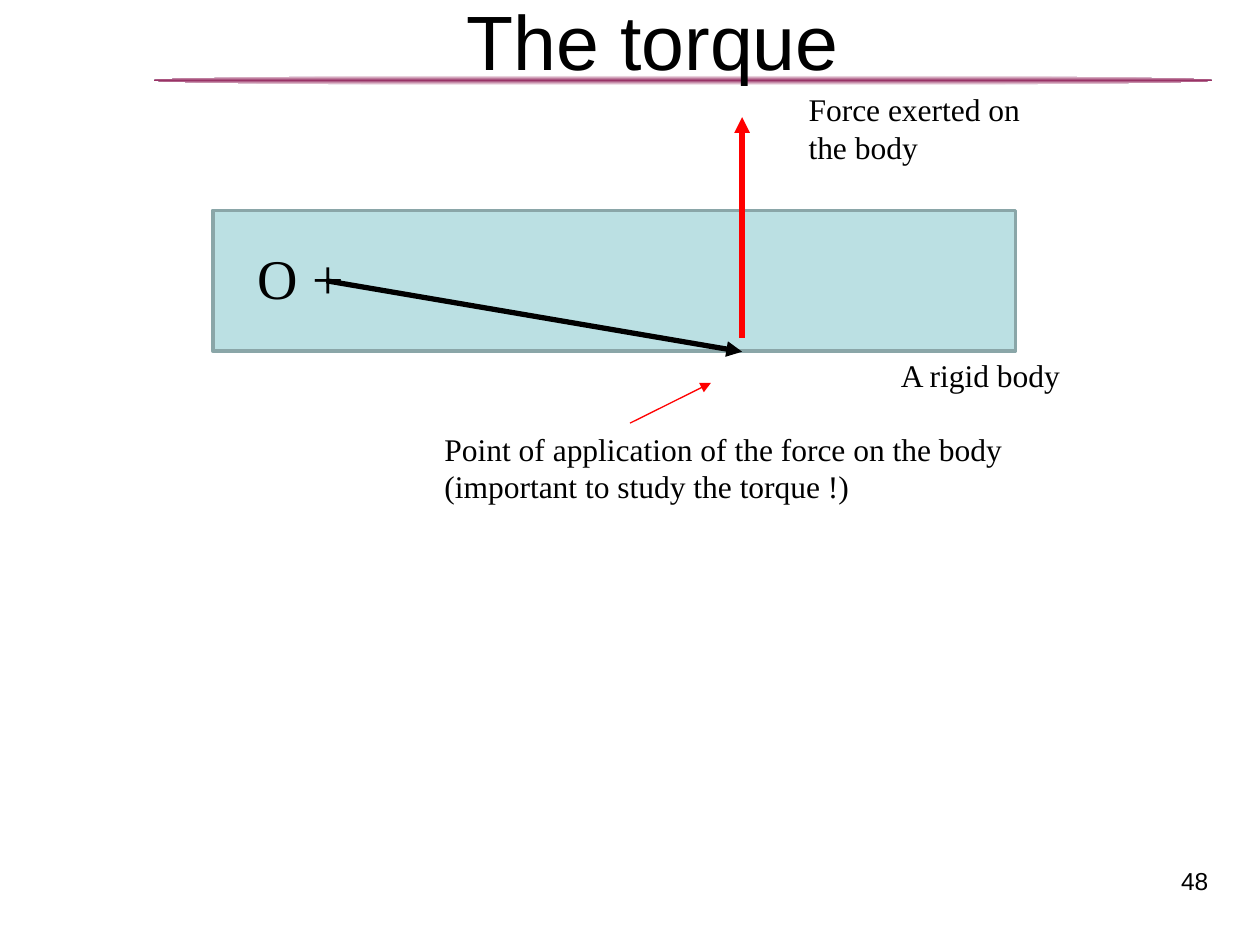
from copy import deepcopy
from dataclasses import dataclass

from lxml.etree import SubElement as Sub
from pptx import Presentation
from pptx.dml.color import RGBColor as Rgb
from pptx.enum.shapes import MSO_CONNECTOR as Conn, MSO_SHAPE as Form
from pptx.enum.text import MSO_ANCHOR as Anchor, MSO_AUTO_SIZE as Fit, PP_ALIGN as Align
from pptx.oxml.ns import qn
from pptx.util import Cm, Pt

HUES = {"white": "FFFFFF", "black": "000000", "red": "FF0000",
        "plum": "993366", "body": "BBE0E3", "edge": "8AA6A8"}
SERIF, SANS = "Times New Roman", "Arial"


@dataclass
class Box:
    """Place and size in centimetres."""
    left: float
    top: float
    width: float
    height: float

    def lengths(self) -> list[Cm]:
        """Give the four lengths for python-pptx."""
        return [Cm(n) for n in (self.left, self.top, self.width, self.height)]


@dataclass
class Arrow:
    """Straight arrow from start to end, in centimetres."""
    start: tuple[float, float]
    end: tuple[float, float]
    hue: str
    weight: float


@dataclass
class Label:
    """Serif label beside a part of the drawing."""
    text: str
    box: Box
    size: int = 18
    wrap: bool = True


def hue(name: str) -> Rgb:
    """Look up a colour."""
    return Rgb.from_string(HUES[name])


def add_text(slide, text: str, box: Box, *, size: int = 18, font: str = SERIF,
             align=Align.LEFT, wrap: bool = True, fit=Fit.NONE, inset: float = 0.13) -> None:
    """Add a black text box."""
    frame = slide.shapes.add_textbox(*box.lengths()).text_frame
    frame.word_wrap = wrap
    frame.auto_size = fit
    frame.vertical_anchor = Anchor.TOP
    frame.margin_top = Cm(inset)
    para = frame.paragraphs[0]
    para.alignment = align
    run = para.add_run()
    run.text = text
    run.font.name = font
    run.font.size = Pt(size)
    run.font.color.rgb = hue("black")


def add_rule(slide, box: Box) -> None:
    """Add the tapered rule under the title."""
    rule = slide.shapes.add_shape(Form.OVAL, *box.lengths())
    rule.shadow.inherit = False
    rule.line.fill.background()
    rule.fill.gradient()
    rule.fill.gradient_angle = 90
    first = next(rule.element.iter(qn("a:gs")))
    first.addnext(deepcopy(first))
    for stop, name, spot in zip(rule.fill.gradient_stops,
                                ("white", "plum", "white"), (0, 0.5, 1)):
        stop.color.rgb = hue(name)
        stop.position = spot


def add_body(slide, box: Box) -> None:
    """Add the rigid body."""
    body = slide.shapes.add_shape(Form.RECTANGLE, *box.lengths())
    body.shadow.inherit = False
    body.fill.solid()
    body.fill.fore_color.rgb = hue("body")
    body.line.color.rgb = hue("edge")
    body.line.width = Pt(2)


def add_arrow(slide, arrow: Arrow) -> None:
    """Add an arrow with a triangular head at its end."""
    ends = [Cm(n) for n in (*arrow.start, *arrow.end)]
    link = slide.shapes.add_connector(Conn.STRAIGHT, *ends)
    link.line.color.rgb = hue(arrow.hue)
    link.line.width = Pt(arrow.weight)
    Sub(link.line._get_or_add_ln(), qn("a:tailEnd"), type="triangle")
    Sub(link.element.spPr, qn("a:effectLst"))


def main() -> None:
    """Build the torque slide."""
    deck = Presentation()
    deck.slide_width, deck.slide_height = Cm(25.4), Cm(19.05)
    slide = deck.slides.add_slide(deck.slide_layouts[6])

    add_rule(slide, Box(3.1, 1.52, 21.34, 0.2))
    add_body(slide, Box(4.29, 4.24, 16.18, 2.84))
    add_text(slide, "The torque", Box(1.73, -0.41, 22.86, 3.18),
             size=44, font=SANS, align=Align.CENTER, inset=0.29)
    add_text(slide, "48", Box(18.69, 17.32, 5.92, 1.14),
             size=14, font=SANS, align=Align.RIGHT)

    force = Arrow((14.96, 6.81), (14.96, 2.36), "red", 3)
    arm = Arrow((6.58, 5.66), (14.96, 7.09), "black", 3)
    hint = Arrow((12.7, 8.53), (14.33, 7.72), "red", 0.75)
    for arrow in (force, arm, hint):
        add_arrow(slide, arrow)

    labels = [
        Label("A rigid body", Box(17.91, 7.04, 3.76, 1.02), wrap=False),
        Label("Force exerted on the body", Box(16.05, 1.68, 5.28, 1.8)),
        Label("Point of application of the force on the body "
              "(important to study the torque !)", Box(8.71, 8.53, 11.84, 1.8)),
        Label("O +", Box(4.95, 4.78, 2.26, 1.63), size=32, wrap=False),
    ]
    for label in labels:
        add_text(slide, label.text, label.box, size=label.size,
                 wrap=label.wrap, fit=Fit.SHAPE_TO_FIT_TEXT)

    deck.save("out.pptx")


if __name__ == "__main__":
    main()
